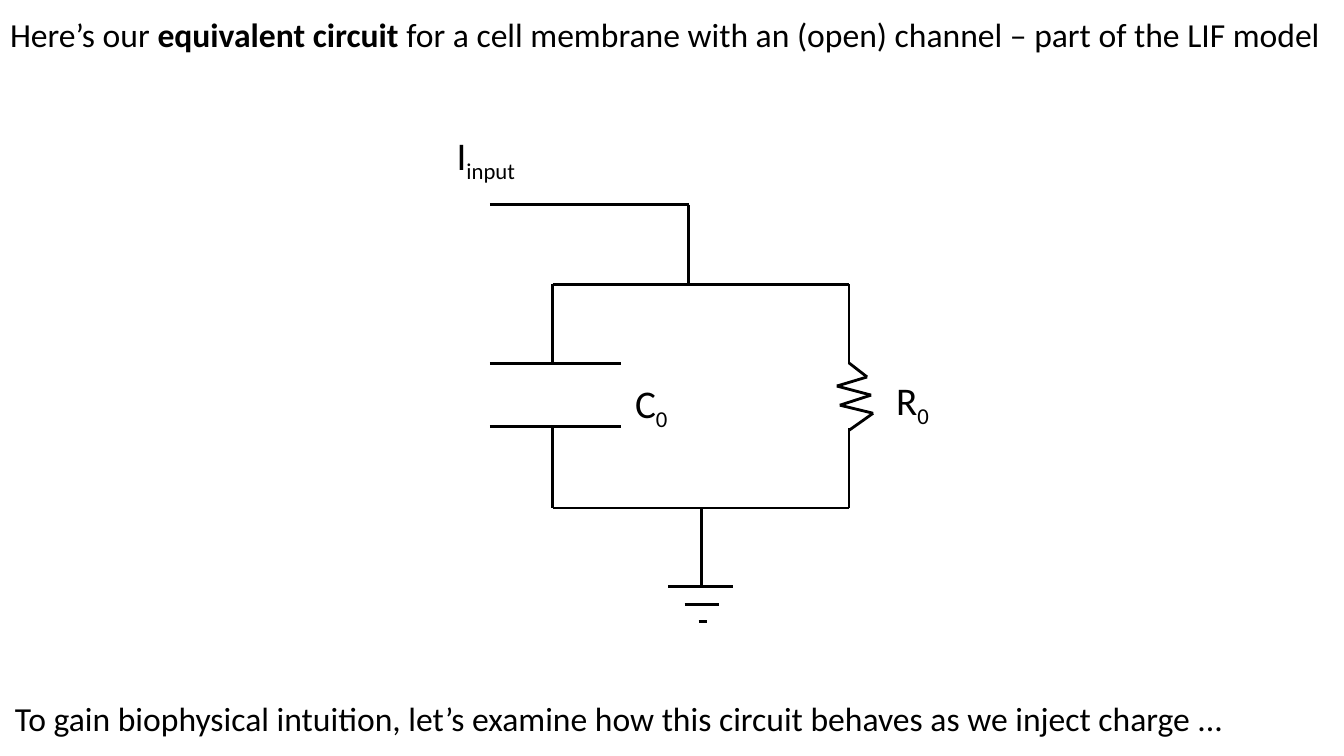
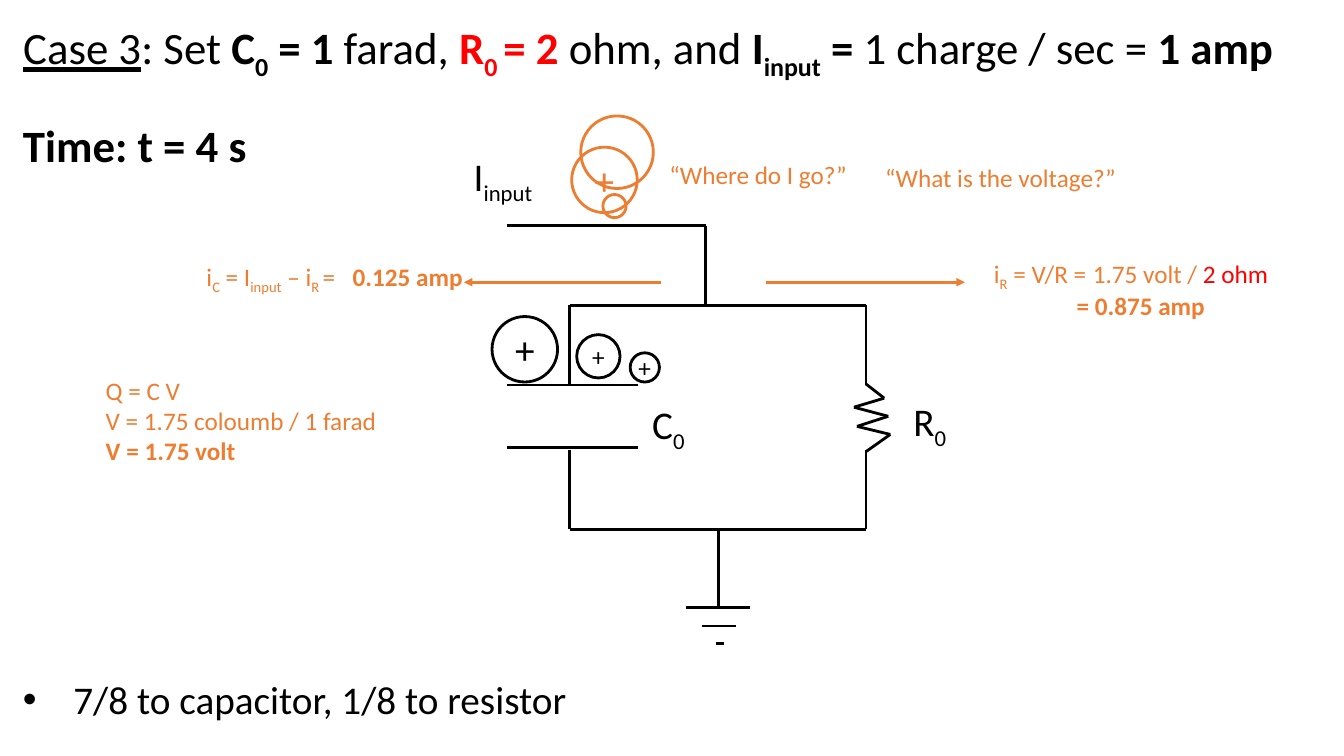
from itertools import pairwise

from pptx import Presentation
from pptx.dml.color import RGBColor
from pptx.enum.shapes import MSO_CONNECTOR, MSO_SHAPE
from pptx.enum.text import MSO_ANCHOR, MSO_AUTO_SIZE, PP_ALIGN
from pptx.oxml.ns import qn
from pptx.util import Inches, Pt
from lxml import etree

COLORS = {"black": "000000", "orange": "ED7D31", "red": "FF0000"}
FONT = "Calibri"
LINE_WIDTH = 2

# Circuit as polylines, placed for the first slide
CIRCUIT_WIRES = [
    [(4.86, 2.03), (6.83, 2.03), (6.83, 2.82)],                # input
    [(5.48, 3.61), (5.48, 2.82), (8.42, 2.82), (8.42, 3.61)],  # upper loop
    [(5.48, 4.25), (5.48, 5.04), (8.42, 5.04), (8.42, 4.25)],  # lower loop
    [(4.86, 3.61), (6.16, 3.61)],                              # capacitor
    [(4.86, 4.23), (6.16, 4.23)],
    [(8.42, 3.6), (8.6, 3.74), (8.3, 3.83), (8.64, 3.92),      # resistor
     (8.33, 4.02), (8.66, 4.1), (8.42, 4.27)],
    [(6.96, 5.04), (6.96, 5.82)],                              # ground
    [(6.63, 5.82), (7.27, 5.82)],
    [(6.79, 6), (7.13, 6)],
    [(6.93, 6.17), (7.01, 6.17)],
]
CIRCUIT_LABELS = [  # left, top, width, letter, subscript
    (8.79, 3.68, 0.55, "R", "0"),
    (6.2, 3.71, 0.54, "C", "0"),
    (4.43, 1.25, 0.86, "I", "input"),
]

# Runs are (text, flags): b bold, u underline, s subscript, r red
INTRO_TITLE = [("Here’s our ", ""), ("equivalent circuit", "b"),
               (" for a cell membrane with an (open) channel – part of the LIF model", "")]
INTRO_CLOSING = [("To gain biophysical intuition, let’s examine how this circuit "
                  "behaves as we inject charge ...", "")]

CASE_TITLE = [("Case 3", "u"), (": Set ", ""), ("C", "b"), ("0", "bs"), (" = 1 ", "b"),
              ("farad, ", ""), ("R", "br"), ("0 ", "brs"), ("= 2 ", "br"),
              ("ohm, and ", ""), ("I", "b"), ("input", "bs"), (" = ", "b"),
              ("1 charge / sec = ", ""), ("1 amp", "b")]
CASE_TIME = [("Time: t = 4 s", "b")]
CASE_SPLIT = [("7/8 to capacitor, 1/8 to resistor", "")]
CASE_NOTES = [  # left, top, width, paragraphs
    (8.68, 1.56, 2.51, [[("“What is the voltage?”", "")]]),
    (6.54, 1.53, 1.98, [[("“Where do I go?”", "")]]),
    (0.95, 3.67, 2.92, [[("Q = C V", "")], [("V = 1.75 coloumb / 1 farad", "")],
                        [("V = 1.75 volt", "b")]]),
    (9.76, 2.51, 1.14, [[("i", ""), ("R", "s"), (" = V/R =", "")]]),
    (10.74, 2.51, 1.96, [[("1.75 volt / ", ""), ("2 ohm", "r")]]),
    (10.58, 2.83, 1.49, [[("= 0.875 amp", "b")]]),
    (1.95, 2.54, 1.57, [[("i", ""), ("C", "s"), (" = I", ""), ("input", "s"),
                         (" – i", ""), ("R ", "s"), ("=", "")]]),
    (3.4, 2.54, 1.3, [[("0.125 amp", "b")]]),
]
CURRENT_ARROWS = [((7.6, 2.8), (9.57, 2.8)), ((6.56, 2.8), (4.6, 2.8))]
CHARGES = [  # left, top, diameter, color, plus sign size (0 for none)
    (5.67, 1.46, 0.65, "orange", 28),
    (5.98, 1.93, 0.23, "orange", 0),
    (5.76, 1.15, 0.72, "orange", 0),
    (4.88, 3.14, 0.65, "black", 28),
    (5.72, 3.32, 0.43, "black", 18),
    (6.25, 3.5, 0.29, "black", 18),
]


def rgb(name):
    """Return the named palette color."""
    return RGBColor.from_string(COLORS[name])


def write_runs(paragraph, runs, size, color):
    """Fill a paragraph with flagged runs."""
    for text, flags in runs:
        run = paragraph.add_run()
        run.text = text
        font = run.font
        font.name, font.size = FONT, Pt(size)
        font.bold, font.underline = "b" in flags, "u" in flags
        font.color.rgb = rgb("red" if "r" in flags else color)
        if "s" in flags:
            run._r.get_or_add_rPr().set("baseline", "-25000")


def place_text(shape, left, top, width, paragraphs, size, color="black"):
    """Position a text shape and write its left-aligned paragraphs."""
    shape.left, shape.top, shape.width = Inches(left), Inches(top), Inches(width)
    shape.height = Inches(round(0.1 + len(paragraphs) * size * 1.22 / 72, 2))
    frame = shape.text_frame
    frame.word_wrap = False
    frame.auto_size = MSO_AUTO_SIZE.NONE
    frame.vertical_anchor = MSO_ANCHOR.TOP
    for index, runs in enumerate(paragraphs):
        paragraph = frame.add_paragraph() if index else frame.paragraphs[0]
        paragraph.alignment = PP_ALIGN.LEFT
        write_runs(paragraph, runs, size, color)
    return shape


def add_text(shapes, *args):
    """Add a text box; the arguments are those of place_text."""
    return place_text(shapes.add_textbox(0, 0, 0, 0), *args)


def add_line(shapes, start, end, color="black", arrow=False):
    """Draw a straight line, with an arrowhead at its end if asked."""
    line = shapes.add_connector(MSO_CONNECTOR.STRAIGHT,
                                *(Inches(value) for value in (*start, *end)))
    line.line.color.rgb = rgb(color)
    line.line.width = Pt(LINE_WIDTH)
    if arrow:
        etree.SubElement(line.line._get_or_add_ln(), qn("a:tailEnd"), type="triangle")
    etree.SubElement(line._element.spPr, qn("a:effectLst"))


def add_charge(shapes, left, top, diameter, color, plus_size):
    """Draw an outlined circle, with a plus sign if it has a size."""
    circle = shapes.add_shape(MSO_SHAPE.OVAL, Inches(left), Inches(top),
                              Inches(diameter), Inches(diameter))
    circle.shadow.inherit = False
    circle.fill.background()
    circle.line.color.rgb = rgb(color)
    circle.line.width = Pt(LINE_WIDTH)
    if plus_size:
        frame = circle.text_frame
        frame.margin_left = frame.margin_right = 0
        frame.margin_top = frame.margin_bottom = 0
        frame.word_wrap = False
        frame.vertical_anchor = MSO_ANCHOR.MIDDLE
        frame.paragraphs[0].alignment = PP_ALIGN.CENTER
        write_runs(frame.paragraphs[0], [("+", "")], plus_size, color)


def add_circuit(slide, dx=0, dy=0):
    """Draw the labelled membrane circuit as a group, shifted by dx, dy."""
    shapes = slide.shapes.add_group_shape().shapes
    for wire in CIRCUIT_WIRES:
        for start, end in pairwise((x + dx, y + dy) for x, y in wire):
            add_line(shapes, start, end)
    for left, top, width, letter, subscript in CIRCUIT_LABELS:
        add_text(shapes, left + dx, top + dy, width,
                 [[(letter, ""), (subscript, "s")]], 28)


def add_bullet(paragraph, indent):
    """Give a paragraph a hanging bullet."""
    props = paragraph._p.get_or_add_pPr()
    props.set("marL", str(Inches(indent)))
    props.set("indent", str(-Inches(indent)))
    etree.SubElement(props, qn("a:buFont"), typeface="Arial")
    etree.SubElement(props, qn("a:buChar"), char="•")


def add_slide(deck, left, top, width, title, size):
    """Add a title-only slide with its title placed."""
    slide = deck.slides.add_slide(deck.slide_layouts[5])
    place_text(slide.shapes.title, left, top, width, [title], size)
    return slide


def build_intro(deck):
    """Build the slide that presents the equivalent circuit."""
    slide = add_slide(deck, 0, 0.09, 13.26, INTRO_TITLE, 24)
    add_circuit(slide)
    add_text(slide.shapes, 0.05, 6.87, 12.3, [INTRO_CLOSING], 24)


def build_case(deck):
    """Build the slide with the currents at four seconds."""
    slide = add_slide(deck, 0.13, 0.15, 12.97, CASE_TITLE, 32)
    shapes = slide.shapes
    add_circuit(slide, 0.17, 0.21)
    add_text(shapes, 0.13, 1.12, 2.44, [CASE_TIME], 32)
    for note in CASE_NOTES:
        add_text(shapes, *note, 18, "orange")
    for start, end in CURRENT_ARROWS:
        add_line(shapes, start, end, "orange", arrow=True)
    for charge in CHARGES:
        add_charge(shapes, *charge)
    split = add_text(shapes, 0.13, 6.65, 5.74, [CASE_SPLIT], 28)
    add_bullet(split.text_frame.paragraphs[0], 0.5)


deck = Presentation()
deck.slide_width, deck.slide_height = Inches(13.33), Inches(7.5)
build_intro(deck)
build_case(deck)
deck.save("out.pptx")
